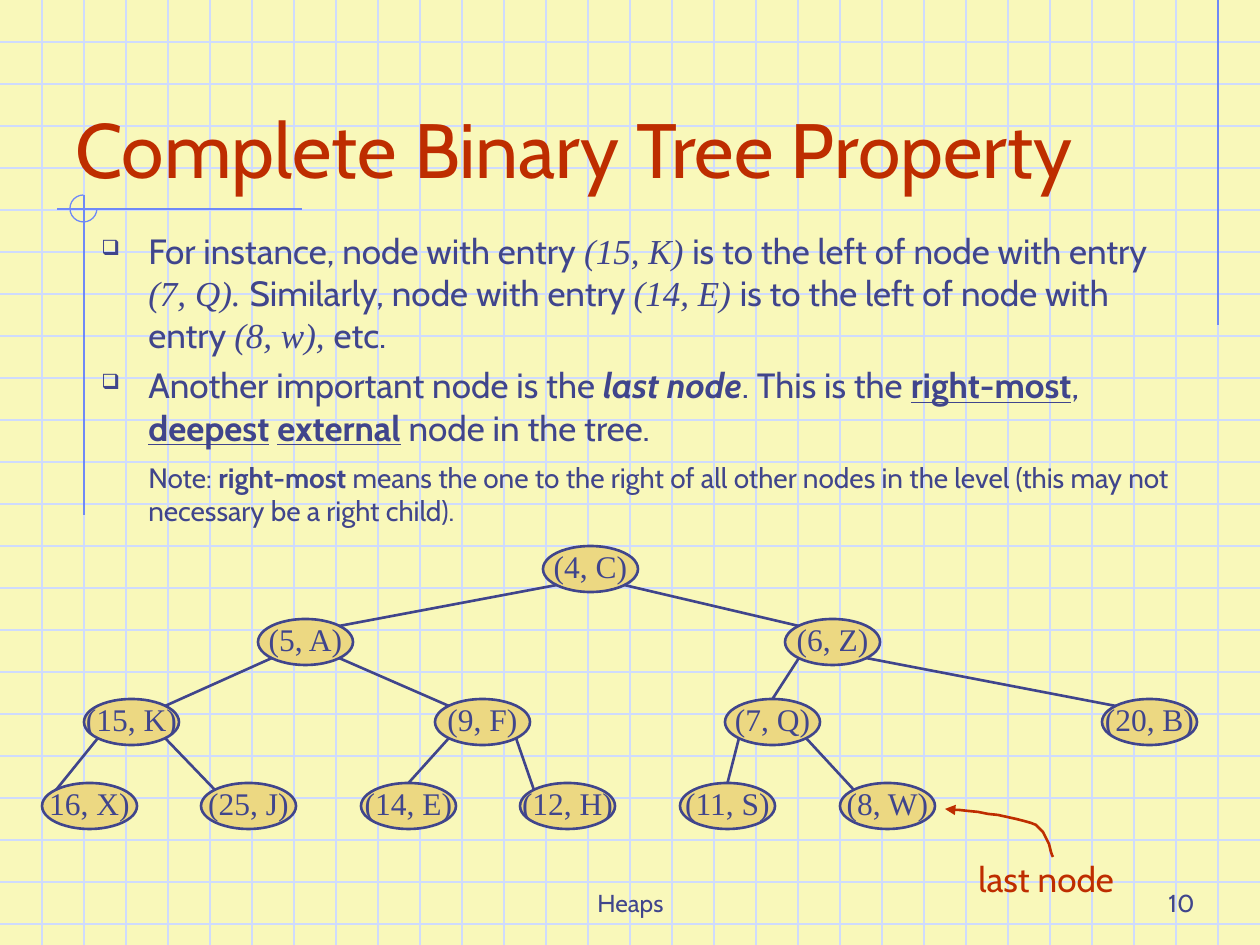
from dataclasses import dataclass
from math import sqrt

from lxml import etree
from pptx import Presentation
from pptx.dml.color import RGBColor
from pptx.enum.shapes import MSO_CONNECTOR, MSO_SHAPE
from pptx.enum.text import MSO_ANCHOR, PP_ALIGN
from pptx.oxml.ns import qn
from pptx.util import Emu, Pt

STRAIGHT = MSO_CONNECTOR.STRAIGHT
OVAL, ARC = MSO_SHAPE.OVAL, MSO_SHAPE.ARC
TOP, MIDDLE, BOTTOM = MSO_ANCHOR.TOP, MSO_ANCHOR.MIDDLE, MSO_ANCHOR.BOTTOM
LEFT, CENTER, RIGHT = PP_ALIGN.LEFT, PP_ALIGN.CENTER, PP_ALIGN.RIGHT

SCALE = 914400 / 126  # EMU in one px
WIDE, HIGH = 1260, 945
GRID = 42
NODE_W, NODE_H = 95, 46


@dataclass(frozen=True)
class Theme:
    paper: str = "F9F8BA"
    grid: str = "CFDBFD"
    rule: str = "6F89F7"
    ink: str = "40458C"
    red: str = "BE2D00"
    gold: str = "ECD882"
    sans: str = "Cabin"
    serif: str = "Times New Roman"
    title: int = 44
    body: int = 20
    node: int = 18
    note: int = 16
    foot: int = 14
    thin: float = 0.75
    thick: float = 1.5


def px(value):
    return Emu(round(value * SCALE))


def rgb(code):
    return RGBColor.from_string(code)


def curve(start, *parts, steps=10):
    """Points along joined cubic curves."""
    points = [start]
    for part in parts:
        a, (b, c, d) = points[-1], part
        for i in range(1, steps + 1):
            t = i / steps
            u = 1 - t
            points.append(tuple(
                u**3 * a[k] + 3 * u * u * t * b[k] + 3 * u * t * t * c[k] + t**3 * d[k]
                for k in (0, 1)))
    return points


class Painter:
    def __init__(self, slide, theme):
        self.slide, self.theme = slide, theme
        self.shapes = slide.shapes

    def ground(self, color):
        fill = self.slide.background.fill
        fill.solid()
        fill.fore_color.rgb = rgb(color)

    def stroke(self, item, color, width):
        item.line.color.rgb = rgb(color)
        item.line.width = Pt(width)

    def line(self, start, end, color, width):
        cord = self.shapes.add_connector(STRAIGHT, *map(px, (*start, *end)))
        self.stroke(cord, color, width)
        etree.SubElement(cord._element.spPr, qn("a:effectLst"))
        return cord

    def shape(self, kind, box, color, width, fill=None):
        item = self.shapes.add_shape(kind, *map(px, box))
        item.shadow.inherit = False
        if fill:
            item.fill.solid()
            item.fill.fore_color.rgb = rgb(fill)
        else:
            item.fill.background()
        self.stroke(item, color, width)
        return item

    def arrow(self, points, color, width):
        pen = self.shapes.build_freeform(*points[0], scale=SCALE)
        pen.add_line_segments(points[1:], close=False)
        item = pen.convert_to_shape()
        item.shadow.inherit = False
        item.fill.background()
        self.stroke(item, color, width)
        etree.SubElement(item.line._get_or_add_ln(), qn("a:tailEnd"), type="triangle")

    def run(self, para, text, size, color, marks=""):
        """Marks: m math, b bold, i italic, u underline."""
        run = para.add_run()
        run.text = text
        font = run.font
        font.name = self.theme.serif if "m" in marks else self.theme.sans
        font.size, font.color.rgb = Pt(size), rgb(color)
        font.bold, font.underline = "b" in marks, "u" in marks
        font.italic = "i" in marks

    def text(self, box, size, color, words="", align=LEFT, anchor=TOP):
        frame = self.shapes.add_textbox(*map(px, box)).text_frame
        frame.word_wrap = True
        frame.vertical_anchor = anchor
        para = frame.paragraphs[0]
        para.alignment = align
        if words:
            self.run(para, words, size, color)
        return frame

    def indent(self, para, left, bullet):
        props = para._p.get_or_add_pPr()
        props.set("marL", str(px(left)))
        props.set("indent", str(-px(left) if bullet else 0))
        if not bullet:
            return
        tint = etree.SubElement(props, qn("a:buClr"))
        etree.SubElement(tint, qn("a:srgbClr"), val=self.theme.ink)
        etree.SubElement(props, qn("a:buSzPct"), val="60000")
        etree.SubElement(props, qn("a:buChar"), char=bullet)

    def node(self, label, x, y):
        look = self.theme
        oval = self.shape(OVAL, (x, y, NODE_W, NODE_H), look.ink, look.thick, look.gold)
        frame = oval.text_frame
        frame.word_wrap = False
        frame.vertical_anchor = MIDDLE
        frame.margin_left = frame.margin_right = frame.margin_top = 0
        frame.margin_bottom = px(6)
        para = frame.paragraphs[0]
        para.alignment = CENTER
        self.run(para, label, look.node, look.ink, "m")
        return oval


# Tree rows: top edge, then label and left edge of each node
LEAVES = ["16, X)", "(25, J)", "(14, E)", "(12, H)", "(11, S)", "(8, W)"]
ROWS = [
    (546, [("(4, C)", 543)]),
    (619, [("(5, A)", 258), ("(6, Z)", 785)]),
    (699, [("(15, K)", 84), ("(9, F)", 435), ("(7, Q)", 725), ("(20, B)", 1102)]),
    (783, [(leaf, 42 + i * 798 // 5) for i, leaf in enumerate(LEAVES)]),
]
TOP_JOINS = {"(7, Q)", "(14, E)", "(11, S)"}

# Body paragraphs: bullet, size, space before, runs
NOTES = [
    ("❑", Theme.body, 0, [
        ("For instance, node with entry ", ""), ("(15, K) ", "mi"),
        ("is to the left of node with entry ", ""), ("(7, Q). ", "mi"),
        ("Similarly, node with entry ", ""), ("(14, E) ", "mi"),
        ("is to the left of node with entry ", ""), ("(8, w), ", "mi"), ("etc.", "")]),
    ("❑", Theme.body, 5, [
        ("Another important node is the ", ""), ("last node", "bi"),
        (". This is the ", ""), ("right-most", "bu"), (", ", ""), ("deepest", "bu"),
        (" ", ""), ("external", "bu"), (" node in the tree.", "")]),
    ("", Theme.note, 7, [
        ("Note: ", ""), ("right-most", "b"),
        (" means the one to the right of all other nodes in the level "
         "(this may not necessary be a right child).", "")]),
]


def corner(x, y, right, low):
    """Point on a node's outline along its diagonal."""
    dx, dy = NODE_W / sqrt(8), NODE_H / sqrt(8)
    return (round(x + NODE_W / 2 + (dx if right else -dx)),
            round(y + NODE_H / 2 + (dy if low else -dy)))


def draw_tree(art):
    ovals = {name: art.node(name, x, y) for y, row in ROWS for name, x in row}
    for (high, row), (low, kids) in zip(ROWS, ROWS[1:]):
        for i, (name, x) in enumerate(kids):
            base = row[i // 2][1]
            right = i % 2 == 1
            # The far left leaf is met on its outer side
            near = not right and name != LEAVES[0]
            cord = art.line(corner(base, high, right, True), corner(x, low, near, False),
                            art.theme.ink, art.theme.thick)
            if name in TOP_JOINS:
                cord.end_connect(ovals[name], 0)


def main():
    deck = Presentation()
    deck.slide_width, deck.slide_height = px(WIDE), px(HIGH)
    look = Theme()
    art = Painter(deck.slides.add_slide(deck.slide_layouts[6]), look)

    # Graph paper
    art.ground(look.paper)
    for y in range(GRID, HIGH, GRID):
        art.line((0, y), (WIDE, y), look.grid, look.thin)
    for x in range(GRID, WIDE, GRID):
        art.line((x, 0), (x, HIGH), look.grid, look.thin)

    # Blue rules and three-quarter ring
    for start, end in [((1218, 0), (1218, 325)), ((302, 209), (57, 209)),
                       ((84, 195), (84, 515))]:
        art.line(start, end, look.rule, look.thin)
    ring = art.shape(ARC, (70, 195, 27, 27), look.rule, look.thin)
    ring.adjustments[0], ring.adjustments[1] = 0, 162

    # Footer and title
    art.text((431, 861, 399, 63), look.foot, look.ink, "Heaps", CENTER, BOTTOM)
    art.text((945, 861, 262, 63), look.foot, look.ink, "10", RIGHT, BOTTOM)
    art.text((63, 42, 1071, 158), look.title, look.red,
             "Complete Binary Tree Property", anchor=BOTTOM)

    # Body
    frame = art.text((89, 223, 1108, 336), look.body, look.ink)
    for i, (bullet, size, space, runs) in enumerate(NOTES):
        para = frame.add_paragraph() if i else frame.paragraphs[0]
        art.indent(para, 47, bullet)
        para.space_before = Pt(space)
        for words, marks in runs:
            art.run(para, words, size, look.ink, marks)

    # Tree and callout
    draw_tree(art)
    art.arrow(curve((1053, 857), ((1050, 851), (1048, 830), (1031, 823)),
                    ((1012, 815), (963, 811), (945, 809))), look.red, look.thick)
    art.text((966, 851, 168, 97), look.body, look.red, "last node")

    deck.save("out.pptx")


if __name__ == "__main__":
    main()
